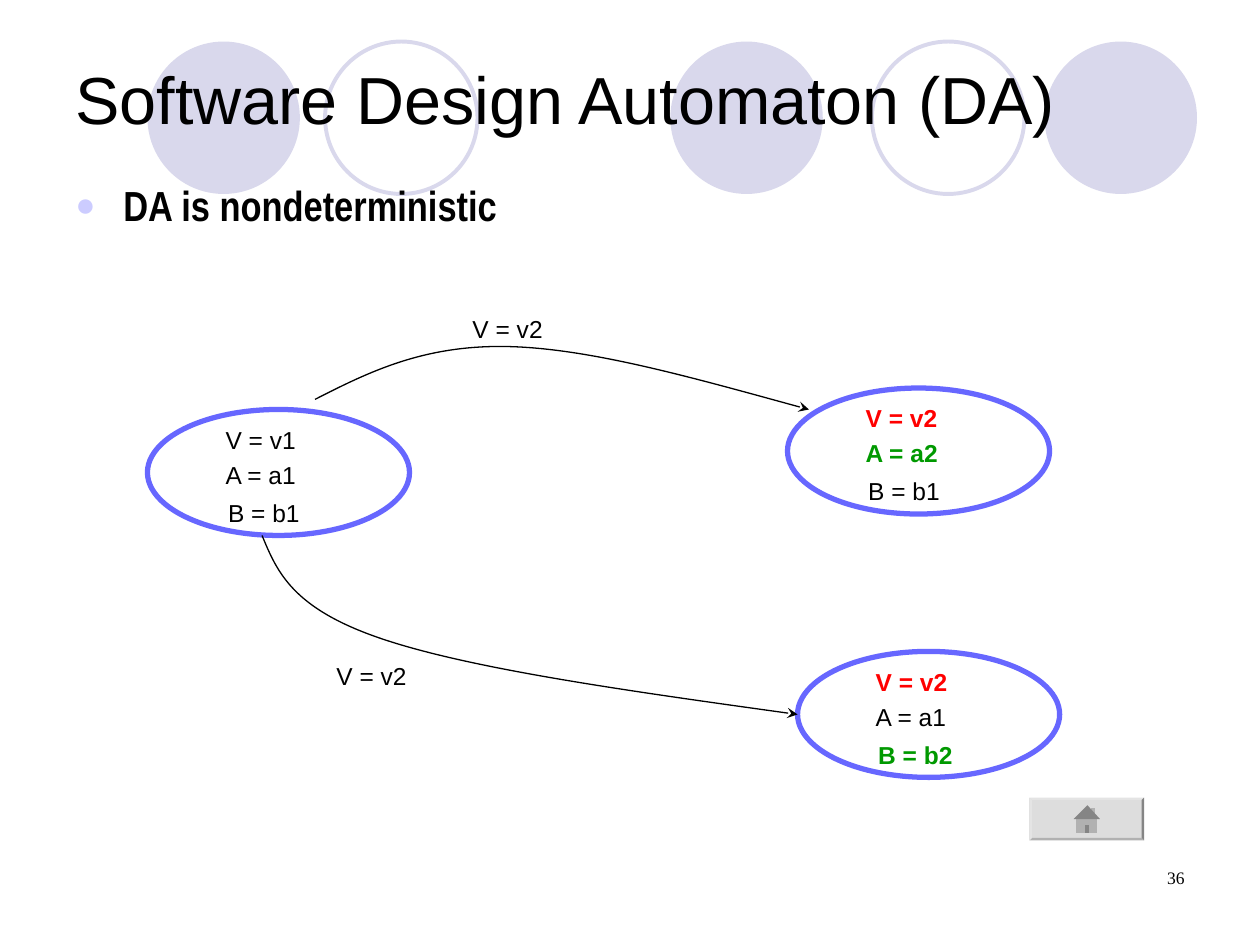
from lxml import etree
from pptx import Presentation
from pptx.dml.color import RGBColor
from pptx.enum import shapes as kinds, text as txt
from pptx.oxml import ns
from pptx.util import Inches, Pt

THEME = {
    "black": "000000", "red": "FF0000", "green": "009900",
    "ring": "6767FF", "pale": "D9D8EC", "bullet": "CCCCFF",
    "face": "DDDDDD", "light": "E4E4E4", "mid": "B1B1B1", "dark": "858585",
    "sans": "Arial", "narrow": "Arial Narrow", "serif": "Times New Roman",
    "title": 38, "body": 24, "label": 14, "number": 10,
}

TITLE = "Software Design Automaton (DA)"
POINT = "DA is nondeterministic"
NUMBER = "36"

# left edge, filled
CIRCLES = [(5.32, True), (8.29, True), (1.17, True), (6.92, False), (2.58, False)]
CIRCLE_TOP, CIRCLE_SIZE = 0.33, 1.21

# left, top, lines of (text, colour); coloured lines are bold
STATES = [
    (1.17, 3.25, [("V = v1", "black"), ("A = a1", "black"), ("B = b1", "black")]),
    (6.25, 3.08, [("V = v2", "red"), ("A = a2", "green"), ("B = b1", "black")]),
    (6.33, 5.17, [("V = v2", "red"), ("A = a1", "black"), ("B = b2", "green")]),
]
STATE_SIZE = (2.08, 1)
LINE_OFFSETS = [(0.62, 0.12), (0.62, 0.4), (0.64, 0.7)]

# label, label box, start and Bezier points of the curve
MOVES = [
    ("V = v2", (3.75, 2.49, 2.03, 0.23),
     [(2.5, 3.17), (2.93, 2.95), (3.36, 2.74), (4.01, 2.75),
      (4.67, 2.76), (5.54, 3.01), (6.42, 3.25)]),
    ("V = v2", (2.67, 5.25, 1.17, 0.23),
     [(2.08, 4.25), (2.2, 4.54), (2.32, 4.83), (3.03, 5.07),
      (3.74, 5.31), (5.03, 5.49), (6.33, 5.67)]),
]

HOME = (8.17, 6.33, 9.08, 6.67)
BEVEL = 0.02
HOUSE = [
    ("mid", [(8.66, 6.41), (8.69, 6.41), (8.69, 6.5), (8.66, 6.5)]),
    ("mid", [(8.54, 6.5), (8.71, 6.5), (8.71, 6.61), (8.54, 6.61)]),
    ("dark", [(8.63, 6.39), (8.73, 6.5), (8.52, 6.5)]),
    ("dark", [(8.61, 6.55), (8.64, 6.55), (8.64, 6.61), (8.61, 6.61)]),
]


def rgb(name):
    return RGBColor.from_string(THEME[name])


def paint(shape, fill=None, line=None, width=1):
    shape.shadow.inherit = False
    if fill:
        shape.fill.solid()
        shape.fill.fore_color.rgb = rgb(fill)
    else:
        shape.fill.background()
    if line:
        shape.line.color.rgb = rgb(line)
        shape.line.width = Pt(width)
    else:
        shape.line.fill.background()


def write(shape, words, size, face="sans", color="black", bold=False, inset=(0, 0),
          anchor=txt.MSO_ANCHOR.TOP, align=txt.PP_ALIGN.LEFT):
    frame = shape.text_frame
    across, down = map(Inches, inset)
    form = {"word_wrap": True, "auto_size": txt.MSO_AUTO_SIZE.NONE,
            "vertical_anchor": anchor, "margin_left": across,
            "margin_right": across, "margin_top": down, "margin_bottom": down}
    for key, value in form.items():
        setattr(frame, key, value)
    para = frame.paragraphs[0]
    para.alignment = align
    run = para.add_run()
    run.text = words
    for key, value in {"name": THEME[face], "size": Pt(THEME[size]), "bold": bold}.items():
        setattr(run.font, key, value)
    run.font.color.rgb = rgb(color)
    return para


def box(slide, at, words, size, **form):
    return write(slide.shapes.add_textbox(*map(Inches, at)), words, size, **form)


def oval(slide, at, **look):
    paint(slide.shapes.add_shape(kinds.MSO_SHAPE.OVAL, *map(Inches, at)), **look)


def outline(host, points, close):
    spots = [(Inches(x), Inches(y)) for x, y in points]
    pen = host.build_freeform(*spots[0])
    pen.add_line_segments(spots[1:], close=close)
    return pen.convert_to_shape()


def bend(shape):
    """Turn each three line segments into one Bezier curve with an arrowhead."""
    track = next(shape._element.iter(ns.qn("a:path")))
    steps = track.findall(ns.qn("a:lnTo"))
    for i in range(0, len(steps), 3):
        curve = etree.SubElement(track, ns.qn("a:cubicBezTo"))
        for step in steps[i:i + 3]:
            curve.append(step[0])
            track.remove(step)
    etree.SubElement(shape.line._get_or_add_ln(), ns.qn("a:tailEnd"), type="stealth")


def add_bullet(para):
    para.line_spacing = 0.9
    para.space_before = Pt(6)
    props = para._p.get_or_add_pPr()
    props.set("marL", str(Inches(0.38)))
    props.set("indent", str(-Inches(0.38)))
    color = etree.SubElement(props, ns.qn("a:buClr"))
    etree.SubElement(color, ns.qn("a:srgbClr"), val=THEME["bullet"])
    etree.SubElement(props, ns.qn("a:buSzPct"), val="80000")
    etree.SubElement(props, ns.qn("a:buFont"), typeface=THEME["sans"])
    etree.SubElement(props, ns.qn("a:buChar"), char="●")


def add_home(slide):
    x1, y1, x2, y2 = HOME
    outer = [(x1, y1), (x2, y1), (x2, y2), (x1, y2)]
    inner = [(x1 + BEVEL, y1 + BEVEL), (x2 - BEVEL, y1 + BEVEL),
             (x2 - BEVEL, y2 - BEVEL), (x1 + BEVEL, y2 - BEVEL)]
    parts = [("face", outer)]
    for i, color in enumerate(("light", "dark", "mid", "light")):
        j = (i + 1) % 4
        parts.append((color, [outer[i], outer[j], inner[j], inner[i]]))
    group = slide.shapes.add_group_shape()
    for color, points in parts + HOUSE:
        paint(outline(group.shapes, points, True), fill=color)


def main():
    deck = Presentation()
    deck.slide_width, deck.slide_height = Inches(10), Inches(7.5)
    slide = deck.slides.add_slide(deck.slide_layouts[5])

    for left, full in CIRCLES:
        look = {"fill": "pale"} if full else {"line": "pale", "width": 2.25}
        oval(slide, (left, CIRCLE_TOP, CIRCLE_SIZE, CIRCLE_SIZE), **look)

    title = slide.shapes.title
    slide.shapes._spTree.append(title._element)  # in front of the circles
    title.left, title.top, title.width, title.height = map(Inches, (0.5, 0.3, 8.83, 0.95))
    write(title, TITLE, "title", inset=(0.1, 0.05), anchor=txt.MSO_ANCHOR.MIDDLE)
    add_bullet(box(slide, (0.5, 1.42, 6.75, 0.5), POINT, "body", face="narrow",
                   bold=True, inset=(0.1, 0.05)))

    for left, top, lines in STATES:
        oval(slide, (left, top, *STATE_SIZE), line="ring", width=3)
        for (dx, dy), (words, color) in zip(LINE_OFFSETS, lines):
            box(slide, (left + dx, top + dy, 0.75, 0.23), words, "label",
                color=color, bold=color != "black")

    for words, at, points in MOVES:
        curve = outline(slide.shapes, points, False)
        paint(curve, line="black", width=0.75)
        bend(curve)
        box(slide, at, words, "label")

    add_home(slide)
    box(slide, (7.17, 6.83, 2.33, 0.5), NUMBER, "number", face="serif",
        inset=(0.1, 0.05), align=txt.PP_ALIGN.RIGHT)
    deck.save("out.pptx")


if __name__ == "__main__":
    main()
